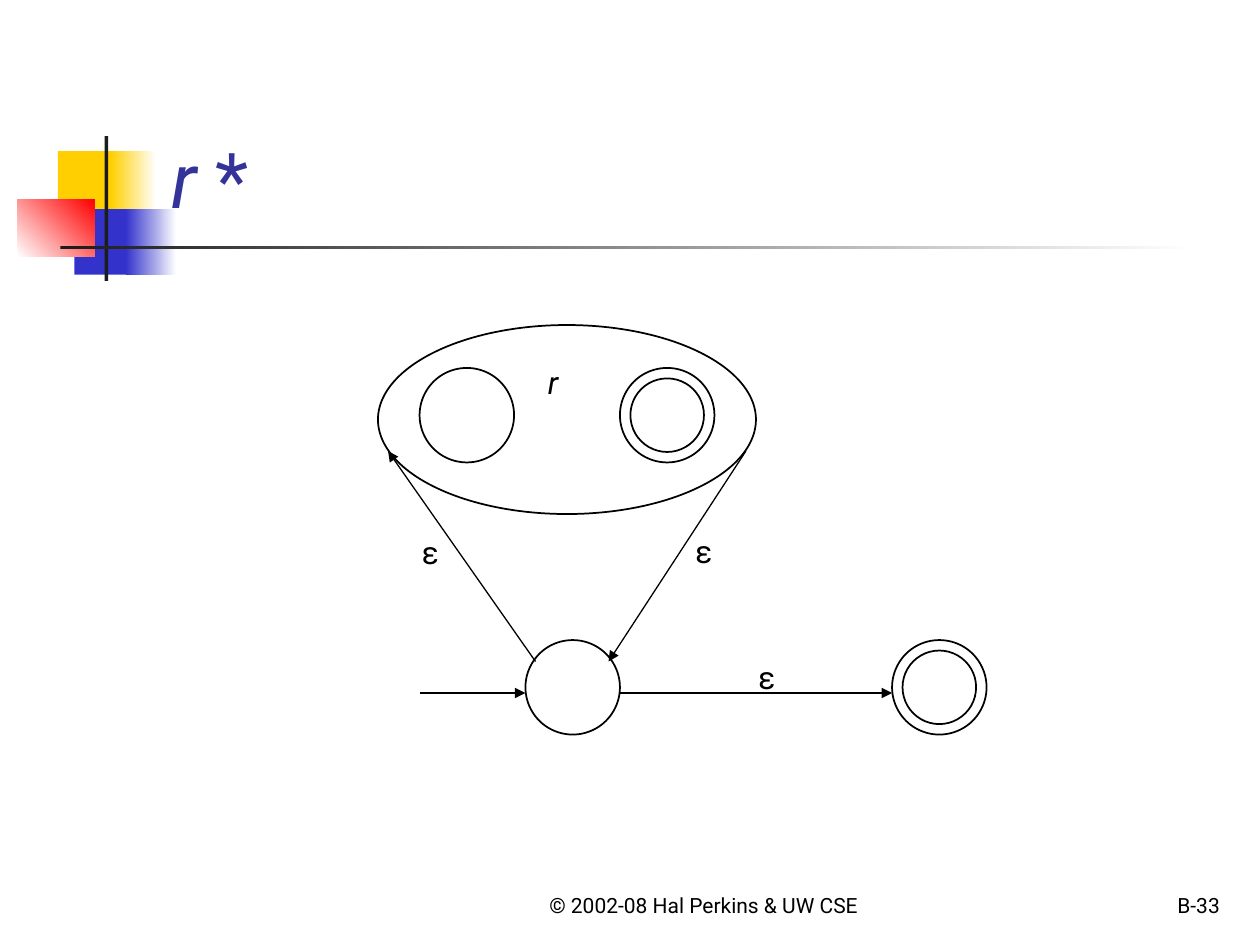
from typing import NamedTuple, Optional

import pptx
import pptx.dml.color
import pptx.enum.shapes
import pptx.enum.text
import pptx.oxml
import pptx.oxml.ns
import pptx.util

Inches = pptx.util.Inches
Shapes = pptx.enum.shapes.MSO_SHAPE
Align = pptx.enum.text.PP_ALIGN
Anchor = pptx.enum.text.MSO_ANCHOR

FONT = "Roboto"
BLACK = "000000"
STATE_SIZE = 0.75
RING_GAP = 0.083


class Block(NamedTuple):
    left: float
    top: float
    width: float
    height: float
    start: str
    end: Optional[str] = None
    angle: float = 0


class State(NamedTuple):
    left: float
    top: float
    accepting: bool = False


class Edge(NamedTuple):
    start: tuple[float, float]
    end: tuple[float, float]
    weight: float = 0.75


class Label(NamedTuple):
    text: str
    left: float
    top: float
    italic: bool = False


BLOCKS = [
    Block(0.46, 1.2, 0.48, 0.52, "FFCF01"),
    Block(0.88, 1.2, 0.36, 0.52, "FFCF01", "FFFFFF"),
    Block(0.59, 1.66, 0.46, 0.52, "3333CC"),
    Block(1, 1.66, 0.4, 0.52, "3333CC", "FFFFFF"),
    Block(0.14, 1.58, 0.61, 0.46, "FFFFFF", "FF0000", 45),
    Block(0.83, 1.08, 0.03, 1.15, "1C1C1C"),
    Block(0.48, 1.95, 9, 0.03, "1C1C1C", "FFFFFF"),
]
STATES = [
    State(3.33, 2.92),
    State(4.92, 2.92, accepting=True),
    State(4.17, 5.08),
    State(7.08, 5.08, accepting=True),
]
EDGES = [
    Edge((4.25, 5.25), (3.08, 3.58)),
    Edge((5.92, 3.58), (4.83, 5.25)),
    Edge((3.33, 5.5), (4.17, 5.5), weight=1),
    Edge((4.92, 5.5), (7.08, 5.5)),
]
LABELS = [
    Label("r", 4.25, 2.83, italic=True),
    Label("ε", 3.25, 4.18),
    Label("ε", 5.42, 4.17),
    Label("ε", 5.92, 5.17),
]


def color(value: str) -> pptx.dml.color.RGBColor:
    return pptx.dml.color.RGBColor.from_string(value)


def draw_block(shapes, block: Block) -> None:
    shape = shapes.add_shape(Shapes.RECTANGLE, *map(Inches, block[:4]))
    shape.shadow.inherit = False
    shape.line.fill.background()
    if block.end is None:
        shape.fill.solid()
        shape.fill.fore_color.rgb = color(block.start)
        return
    shape.fill.gradient()
    shape.fill.gradient_angle = block.angle
    for stop, position, value in zip(shape.fill.gradient_stops, (0, 1), (block.start, block.end)):
        stop.position = position
        stop.color.rgb = color(value)


def draw_ellipse(shapes, left: float, top: float, width: float, height: float) -> None:
    shape = shapes.add_shape(Shapes.OVAL, *map(Inches, (left, top, width, height)))
    shape.shadow.inherit = False
    shape.fill.background()
    shape.line.color.rgb = color(BLACK)
    shape.line.width = pptx.util.Pt(1)


def draw_state(shapes, state: State) -> None:
    target = shapes.add_group_shape().shapes if state.accepting else shapes
    for inset in (0, RING_GAP) if state.accepting else (0,):
        size = STATE_SIZE - 2 * inset
        draw_ellipse(target, state.left + inset, state.top + inset, size, size)


def draw_edge(shapes, edge: Edge) -> None:
    connector = shapes.add_connector(
        pptx.enum.shapes.MSO_CONNECTOR.STRAIGHT, *map(Inches, edge.start + edge.end)
    )
    connector.line.color.rgb = color(BLACK)
    connector.line.width = pptx.util.Pt(edge.weight)
    namespace = pptx.oxml.ns.nsdecls("a")
    line = connector.line._get_or_add_ln()
    line.append(pptx.oxml.parse_xml(f'<a:tailEnd {namespace} type="triangle"/>'))
    line.getparent().append(pptx.oxml.parse_xml(f"<a:effectLst {namespace}/>"))


def add_text(shapes, runs: list[tuple[str, bool]], left: float, top: float, width: float,
             height: float, *, size: float = 18, fill: str = BLACK,
             align=Align.LEFT, anchor=Anchor.TOP) -> None:
    frame = shapes.add_textbox(*map(Inches, (left, top, width, height))).text_frame
    frame.word_wrap = True
    frame.vertical_anchor = anchor
    paragraph = frame.paragraphs[0]
    paragraph.alignment = align
    for text, italic in runs:
        run = paragraph.add_run()
        run.text = text
        run.font.name = FONT
        run.font.size = pptx.util.Pt(size)
        run.font.italic = italic
        run.font.color.rgb = color(fill)


def main() -> None:
    """Build the slide showing the automaton for r*."""
    presentation = pptx.Presentation()
    presentation.slide_width = Inches(10)
    presentation.slide_height = Inches(7.5)
    slide = presentation.slides.add_slide(presentation.slide_layouts[6])
    shapes = slide.shapes

    for block in BLOCKS:
        draw_block(shapes, block)
    add_text(shapes, [("© 2002-08 Hal Perkins & UW CSE", False)], 4, 6.83, 3.17, 0.5,
             size=12, align=Align.CENTER, anchor=Anchor.BOTTOM)
    add_text(shapes, [("B-33", False)], 7.7, 6.83, 2.08, 0.5,
             size=12, align=Align.RIGHT, anchor=Anchor.BOTTOM)
    add_text(shapes, [("r ", True), ("*", False)], 1.26, 0.23, 8.52, 1.6,
             size=44, fill="333399", anchor=Anchor.BOTTOM)

    draw_ellipse(shapes, 3, 2.58, 3, 1.5)
    for state in STATES:
        draw_state(shapes, state)
    for edge in EDGES:
        draw_edge(shapes, edge)
    for label in LABELS:
        add_text(shapes, [(label.text, label.italic)], label.left, label.top, 0.42, 0.4)

    presentation.save("out.pptx")


if __name__ == "__main__":
    main()
